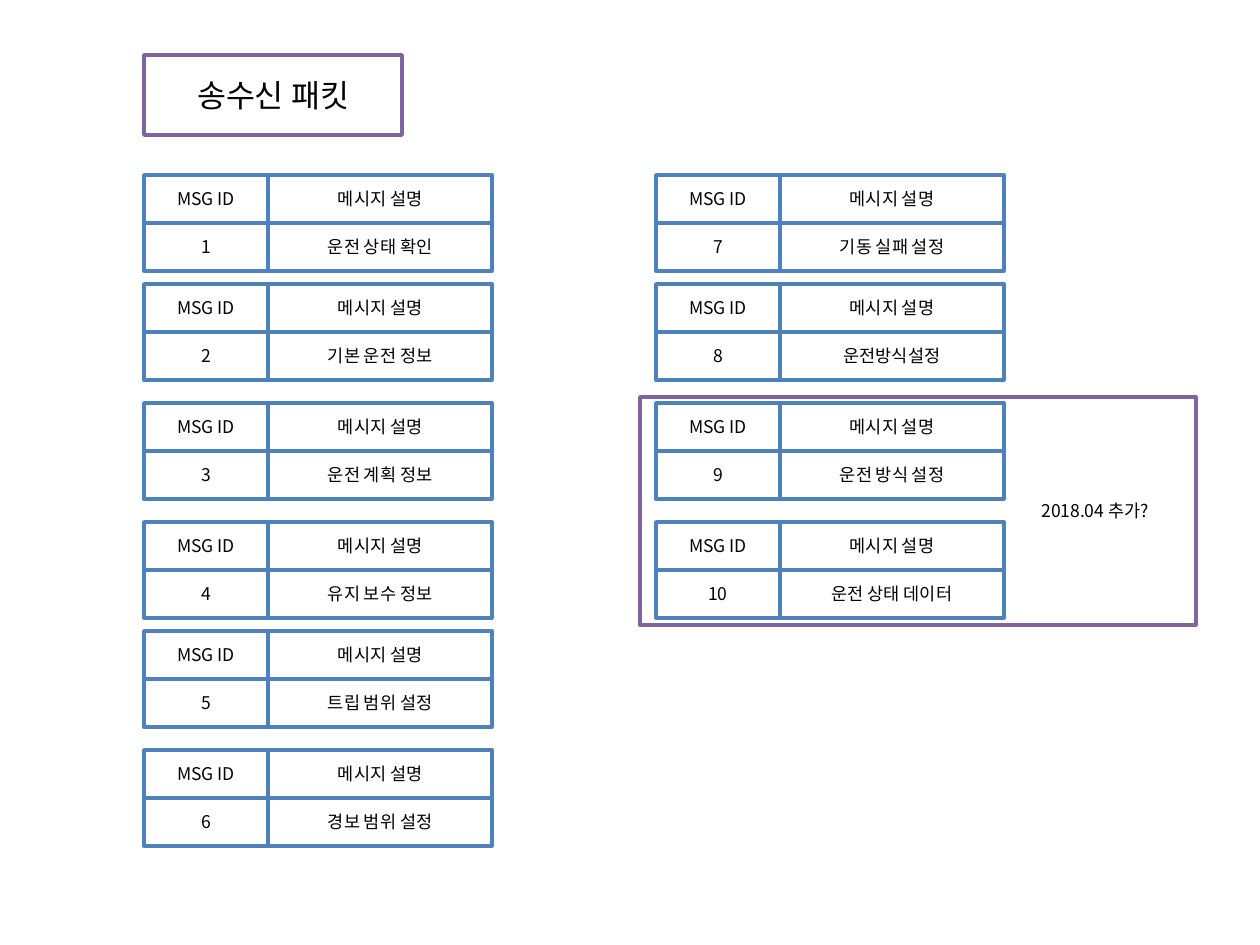
import pptx
import pptx.dml.color
import pptx.enum.shapes
import pptx.enum.text
import pptx.oxml
import pptx.oxml.ns
import pptx.util

PX_PER_INCH = 126
FONT = "Noto Sans CJK KR"
BLUE = "4F81BD"
PURPLE = "8064A2"
CELL_HEIGHT = 48
ID_WIDTH = 124
TEXT_WIDTH = 224
HEADER = ("MSG ID", "메시지 설명")
TABLE_TOPS = (175, 284, 403, 522, 631, 750)
COLUMNS = (
    (144, 1, ("운전 상태 확인", "기본 운전 정보", "운전 계획 정보",
              "유지 보수 정보", "트립 범위 설정", "경보 범위 설정")),
    (656, 7, ("기동 실패 설정", "운전방식설정", "운전 방식 설정",
              "운전 상태 데이터")),
)


def px(length):
    return pptx.util.Emu(round(length * 914400 / PX_PER_INCH))


def colour(value):
    return pptx.dml.color.RGBColor.from_string(value)


def place(shape, left, top, width, height):
    shape.left, shape.top = px(left), px(top)
    shape.width, shape.height = px(width), px(height)


def outline(shape, line_colour):
    shape.fill.solid()
    shape.fill.fore_color.rgb = colour("FFFFFF")
    shape.line.color.rgb = colour(line_colour)
    shape.line.width = pptx.util.Pt(2)


def write(shape, text, size=10, align=pptx.enum.text.PP_ALIGN.CENTER):
    frame = shape.text_frame
    frame.text = text
    frame.vertical_anchor = pptx.enum.text.MSO_ANCHOR.MIDDLE
    para = frame.paragraphs[0]
    para.alignment = align
    para.font.size = pptx.util.Pt(size)
    para.font.name = FONT
    para.font.color.rgb = colour("000000")
    defaults = para._p.pPr.find(pptx.oxml.ns.qn("a:defRPr"))
    east_asian = pptx.oxml.parse_xml(
        f'<a:ea {pptx.oxml.ns.nsdecls("a")} typeface="{FONT}"/>')
    defaults.append(east_asian)


def add_box(shapes, left, top, width, height, line_colour):
    box = shapes.add_shape(pptx.enum.shapes.MSO_SHAPE.RECTANGLE,
                           px(left), px(top), px(width), px(height))
    box.shadow.inherit = False
    outline(box, line_colour)
    return box


def add_message(page, left, top, number, description):
    group = page.shapes.add_group_shape()
    for row, (first, second) in enumerate((HEADER, (str(number), description))):
        cell_top = top + row * CELL_HEIGHT
        id_box = add_box(group.shapes, left, cell_top, ID_WIDTH, CELL_HEIGHT, BLUE)
        write(id_box, first)
        text_box = add_box(group.shapes, left + ID_WIDTH, cell_top,
                           TEXT_WIDTH, CELL_HEIGHT, BLUE)
        write(text_box, second)


def add_title(page, text):
    title = page.shapes.title
    place(title, 144, 55, 258, 80)
    outline(title, PURPLE)
    write(title, text, size=18)


def add_note(page, text):
    note = page.shapes.add_textbox(px(1029), px(494), px(137), px(34))
    note.text_frame.word_wrap = False
    note.text_frame.auto_size = pptx.enum.text.MSO_AUTO_SIZE.SHAPE_TO_FIT_TEXT
    write(note, text, align=pptx.enum.text.PP_ALIGN.LEFT)


def main():
    deck = pptx.Presentation()
    deck.slide_width, deck.slide_height = px(1260), px(945)
    page = deck.slides.add_slide(deck.slide_layouts[5])
    add_box(page.shapes, 640, 397, 556, 228, PURPLE)
    add_title(page, "송수신 패킷")
    for left, first_number, descriptions in COLUMNS:
        for index, description in enumerate(descriptions):
            add_message(page, left, TABLE_TOPS[index],
                        first_number + index, description)
    add_note(page, "2018.04 추가?")
    deck.save("out.pptx")


if __name__ == "__main__":
    main()
